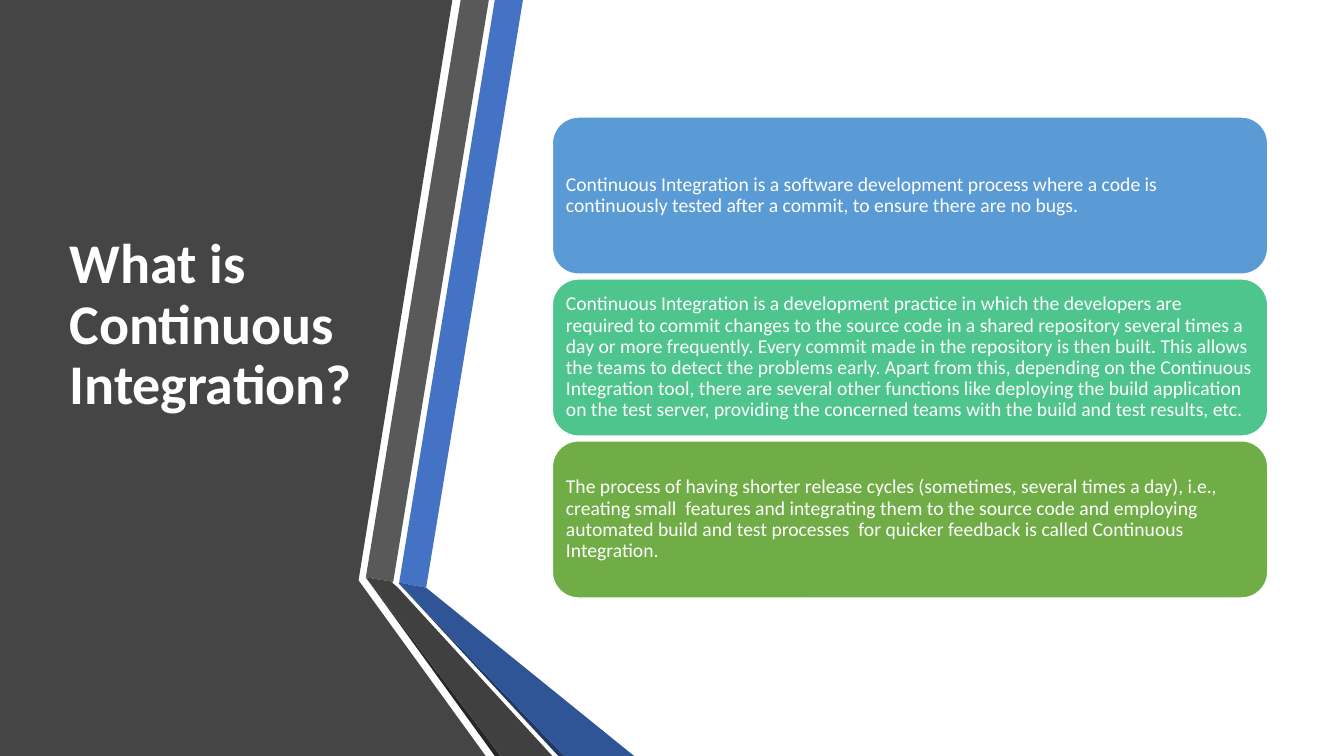
"""Build the slide that explains Continuous Integration."""
from pptx import Presentation
from pptx.dml.color import RGBColor
from pptx.enum.shapes import MSO_SHAPE
from pptx.enum.text import MSO_ANCHOR, MSO_AUTO_SIZE, PP_ALIGN
from pptx.util import Cm, Pt

WHITE = RGBColor(0xFF, 0xFF, 0xFF)
CHARCOAL = RGBColor(0x45, 0x45, 0x45)
GREY = RGBColor(0x59, 0x59, 0x59)
DARK_GREY = RGBColor(0x40, 0x40, 0x40)
NEAR_BLACK = RGBColor(0x26, 0x26, 0x26)
BLUE = RGBColor(0x44, 0x72, 0xC4)
DARK_BLUE = RGBColor(0x2F, 0x55, 0x97)
NAVY = RGBColor(0x20, 0x38, 0x64)
SKY = RGBColor(0x5B, 0x9B, 0xD5)
MINT = RGBColor(0x4D, 0xC5, 0x8D)
GREEN = RGBColor(0x70, 0xAD, 0x47)

BANDS = [
    (CHARCOAL, [(0, 0), (1140, 0), (904, 1460), (904, 1463), (1224, 1905), (0, 1905)]),
    (BLUE, [(1006, 1468), (1074, 1481), (1318, 0), (1247, 0)]),
    (GREY, [(1232, 0), (1161, 0), (922, 1455), (991, 1466)]),
    (NEAR_BLACK, [(922, 1455), (1247, 1905), (1262, 1905)]),
    (NAVY, [(1006, 1471), (1407, 1905), (1422, 1905)]),
    (DARK_BLUE, [(1006, 1471), (1422, 1905), (1598, 1905), (1074, 1481), (1006, 1468)]),
    (DARK_GREY, [(1392, 1905), (1003, 1481), (988, 1468), (991, 1466), (922, 1455), (1262, 1905)]),
]

CARDS = [
    (SKY, "Continuous Integration is a software development process where a code is "
          "continuously tested after a commit, to ensure there are no bugs."),
    (MINT, "Continuous Integration is a development practice in which the developers are "
           "required to commit changes to the source code in a shared repository several "
           "times a day or more frequently. Every commit made in the repository is then "
           "built. This allows the teams to detect the problems early. Apart from this, "
           "depending on the Continuous Integration tool, there are several other functions "
           "like deploying the build application on the test server, providing the concerned "
           "teams with the build and test results, etc."),
    (GREEN, "The process of having shorter release cycles (sometimes, several times a day), "
            "i.e., creating small  features and integrating them to the source code and "
            "employing automated build and test processes  for quicker feedback is called "
            "Continuous Integration."),
]


def write_text(shape, text, size, bold=False):
    frame = shape.text_frame
    frame.word_wrap = True
    frame.auto_size = MSO_AUTO_SIZE.NONE
    frame.vertical_anchor = MSO_ANCHOR.MIDDLE
    paragraph = frame.paragraphs[0]
    paragraph.alignment = PP_ALIGN.LEFT
    paragraph.line_spacing = 0.9
    run = paragraph.add_run()
    run.text = text
    run.font.name = "Calibri"
    run.font.size = Pt(size)
    run.font.bold = bold
    run.font.color.rgb = WHITE


presentation = Presentation()
presentation.slide_width = Cm(33.87)
presentation.slide_height = Cm(19.05)
slide = presentation.slides.add_slide(presentation.slide_layouts[5])

for color, points in BANDS:
    builder = slide.shapes.build_freeform(*points[0], scale=Cm(0.01))
    builder.add_line_segments(points[1:], close=True)
    band = builder.convert_to_shape()
    band.shadow.inherit = False
    band.fill.solid()
    band.fill.fore_color.rgb = color
    band.line.fill.background()

title = slide.shapes.title
title.left, title.top, title.width, title.height = Cm(1.5), Cm(1.9), Cm(7.72), Cm(14.17)
title.text_frame.margin_bottom = Cm(1.65)
write_text(title, "What is Continuous Integration?", 40, bold=True)
title.element.getparent().append(title.element)

for index, (color, text) in enumerate(CARDS):
    card = slide.shapes.add_shape(
        MSO_SHAPE.ROUNDED_RECTANGLE, Cm(13.92), Cm(2.95 + 4.08 * index), Cm(18.03), Cm(3.96))
    card.shadow.inherit = False
    card.fill.solid()
    card.fill.fore_color.rgb = color
    card.line.color.rgb = WHITE
    card.line.width = Pt(1)
    frame = card.text_frame
    frame.margin_left = frame.margin_right = frame.margin_top = frame.margin_bottom = Cm(0.15)
    write_text(card, text, 14)

presentation.save("out.pptx")
